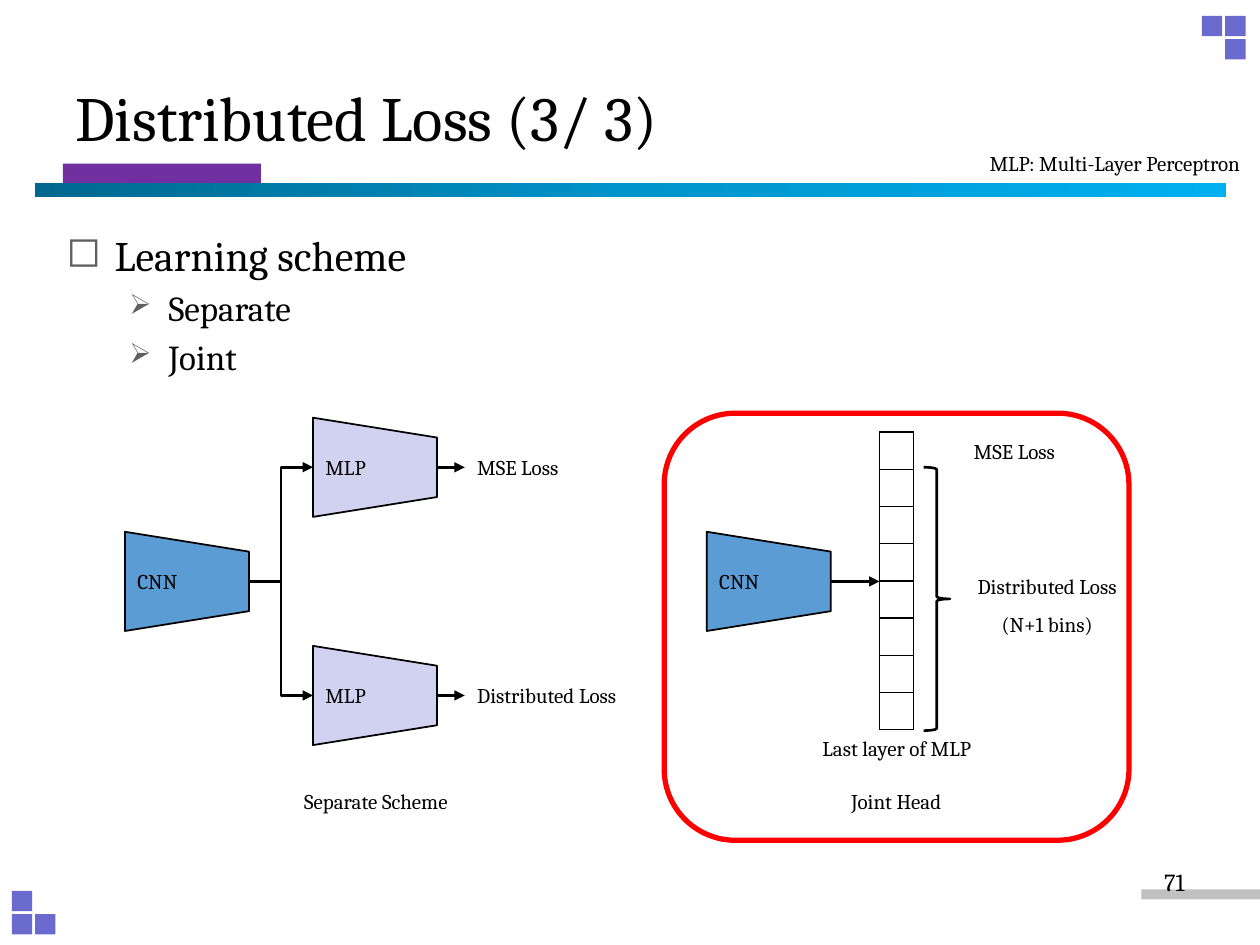
from copy import deepcopy

from lxml.etree import SubElement
from pptx import Presentation
from pptx.dml.color import RGBColor
from pptx.enum.shapes import MSO_CONNECTOR, MSO_SHAPE
from pptx.enum.text import MSO_ANCHOR, PP_ALIGN
from pptx.oxml.ns import qn
from pptx.util import Cm, Pt

color = RGBColor.from_string

presentation = Presentation()
presentation.slide_width = Cm(25.4)
presentation.slide_height = Cm(19.05)
slide = presentation.slides.add_slide(presentation.slide_layouts[5])
shapes = slide.shapes


def add_shape(kind, left, top, width, height, fill=None, line=None, weight=1):
    shape = shapes.add_shape(kind, Cm(left), Cm(top), Cm(width), Cm(height))
    shape.shadow.inherit = False
    if fill:
        shape.fill.solid()
        shape.fill.fore_color.rgb = color(fill)
    else:
        shape.fill.background()
    if line:
        shape.line.color.rgb = color(line)
        shape.line.width = Pt(weight)
    else:
        shape.line.fill.background()
    return shape


def write(shape, text, size, alignment):
    shape.text_frame.word_wrap = True
    shape.text_frame.text = text
    for paragraph in shape.text_frame.paragraphs:
        paragraph.alignment = alignment
        for run in paragraph.runs:
            run.font.name = "Cambria"
            run.font.size = Pt(size)
            run.font.color.rgb = color("000000")


square, pitch = 0.41, 0.47
corners = [
    (24.23, 0.32, [(0, 0), (1, 0), (1, 1)]),
    (0.24, 17.96, [(0, 0), (0, 1), (1, 1)]),
]
for left, top, places in corners:
    for column, row in places:
        add_shape(MSO_SHAPE.RECTANGLE, left + column * pitch, top + row * pitch,
                  square, square, "6B6BCF")
add_shape(MSO_SHAPE.RECTANGLE, 23.01, 17.93, 2.39, 0.2, "C0C0C0")
add_shape(MSO_SHAPE.RECTANGLE, 1.27, 3.3, 3.99, 0.41, "7030A0")

title_bar = add_shape(MSO_SHAPE.RECTANGLE, 0.71, 3.68, 24, 0.3)
title_bar.fill.gradient()
title_bar.fill.gradient_angle = 0
stop_list = title_bar.element.xpath(".//a:gsLst")[0]
stop_list.insert(1, deepcopy(stop_list[0]))
stops = [(0, "00688E"), (0.5, "0094CA"), (1, "00B0F0")]
for stop, (position, shade) in zip(title_bar.fill.gradient_stops, stops):
    stop.position = position
    stop.color.rgb = color(shade)

title = shapes.title
title.left, title.top, title.width, title.height = Cm(1.27), Cm(0.76), Cm(22.86), Cm(3.18)
write(title, "Distributed Loss (3/ 3)", 36, PP_ALIGN.LEFT)
title.text_frame.vertical_anchor = MSO_ANCHOR.MIDDLE

body = shapes.add_textbox(Cm(1.09), Cm(4.5), Cm(22.86), Cm(3.4))
write(body, "Learning scheme\nSeparate\nJoint", 20, PP_ALIGN.JUSTIFY)
body.text_frame.paragraphs[0].runs[0].font.size = Pt(24)
bullets = [(0, 0.97, 0.97, "◻", 100), (1, 2.06, 0.79, "➢", 80), (1, 2.06, 0.79, "➢", 80)]
for paragraph, (level, margin, hanging, bullet, percent) in zip(body.text_frame.paragraphs, bullets):
    paragraph.level = level
    if level:
        paragraph.space_before = Pt(4)
    properties = paragraph._p.get_or_add_pPr()
    properties.set("marL", str(Cm(margin)))
    properties.set("indent", str(-Cm(hanging)))
    bullet_color = SubElement(properties, qn("a:buClr"))
    SubElement(bullet_color, qn("a:srgbClr"), val="5F5F5F")
    SubElement(properties, qn("a:buSzPct"), val=str(percent * 1000))
    SubElement(properties, qn("a:buChar"), char=bullet)

block_width, block_height = 2.5, 2
cnn_x, joint_cnn_x, mlp_x = 3.77, 15.5, 7.56
upper_y, middle_y, lower_y = 9.42, 11.72, 14.02
blocks = [
    ("MLP", mlp_x, upper_y, "D1D1F0"),
    ("MLP", mlp_x, lower_y, "D1D1F0"),
    ("CNN", cnn_x, middle_y, "5B9CD5"),
    ("CNN", joint_cnn_x, middle_y, "5B9CD5"),
]
for text, center_x, center_y, fill in blocks:
    block = add_shape(MSO_SHAPE.FLOWCHART_MANUAL_OPERATION,
                      center_x - block_height / 2, center_y - block_width / 2,
                      block_height, block_width, fill, "000000")
    block.rotation = 270
    write(block, text, 12, PP_ALIGN.CENTER)
    block.text_frame.vertical_anchor = MSO_ANCHOR.MIDDLE
    block.text_frame._txBody.bodyPr.set("vert", "eaVert")

table_left, table_top, cell_width, cell_height, bins = 17.73, 8.71, 0.69, 0.75, 8
table = shapes.add_table(bins, 1, Cm(table_left), Cm(table_top),
                         Cm(cell_width), Cm(bins * cell_height)).table
table.first_row = False
table.horz_banding = False
for row in table.rows:
    row.height = Cm(cell_height)
    cell = row.cells[0]
    cell.margin_top = cell.margin_bottom = 0
    cell.text_frame.paragraphs[0]._p.get_or_add_endParaRPr().set("sz", "1200")
    for side in ("a:lnL", "a:lnR", "a:lnT", "a:lnB"):
        border = SubElement(cell._tc.get_or_add_tcPr(), qn(side), w=str(Pt(1)))
        border_fill = SubElement(border, qn("a:solidFill"))
        SubElement(border_fill, qn("a:srgbClr"), val="000000")
    cell.fill.background()

half = block_width / 2
arrows = [
    (MSO_CONNECTOR.ELBOW, cnn_x + half, middle_y, mlp_x - half, upper_y),
    (MSO_CONNECTOR.ELBOW, cnn_x + half, middle_y, mlp_x - half, lower_y),
    (MSO_CONNECTOR.STRAIGHT, mlp_x + half, upper_y, 9.37, upper_y),
    (MSO_CONNECTOR.STRAIGHT, mlp_x + half, lower_y, 9.37, lower_y),
    (MSO_CONNECTOR.STRAIGHT, joint_cnn_x + half, middle_y, table_left, middle_y),
]
for kind, start_x, start_y, end_x, end_y in arrows:
    arrow = shapes.add_connector(kind, Cm(start_x), Cm(start_y), Cm(end_x), Cm(end_y))
    arrow.line.color.rgb = color("000000")
    arrow.line.width = Pt(1.5)
    SubElement(arrow.line._get_or_add_ln(), qn("a:tailEnd"), type="triangle")
    SubElement(arrow.element.spPr, qn("a:effectLst"))

add_shape(MSO_SHAPE.RIGHT_BRACE, 18.62, 9.42, 0.53, 5.31, None, "000000", 1.5)

labels = [
    ("MSE Loss", 9.37, 9.04, 3.86, 12, PP_ALIGN.LEFT),
    ("Distributed Loss", 9.37, 13.64, 3.86, 12, PP_ALIGN.LEFT),
    ("Last layer of MLP", 16.15, 14.71, 3.86, 12, PP_ALIGN.CENTER),
    ("MSE Loss", 19.38, 8.71, 3.86, 12, PP_ALIGN.LEFT),
    ("Distributed Loss\n(N+1 bins)", 19.18, 11.18, 3.86, 12, PP_ALIGN.CENTER),
    ("Separate Scheme", 5.18, 15.77, 4.8, 12, PP_ALIGN.CENTER),
    ("Joint Head", 15.67, 15.77, 4.8, 12, PP_ALIGN.CENTER),
    ("MLP: Multi-Layer Perceptron", 14.25, 2.92, 11, 12, PP_ALIGN.RIGHT),
    ("71", 18.21, 17.35, 5.92, 14, PP_ALIGN.RIGHT),
]
for text, left, top, width, size, alignment in labels:
    lines = text.count("\n") + 1
    label = shapes.add_textbox(Cm(left), Cm(top), Cm(width), Cm(0.77 if lines == 1 else 1.7))
    write(label, text, size, alignment)
    if lines > 1:
        for paragraph in label.text_frame.paragraphs:
            paragraph.line_spacing = 1.5

add_shape(MSO_SHAPE.ROUNDED_RECTANGLE, 13.39, 8.33, 9.37, 8.61, None, "FF0000", 3)

presentation.save("out.pptx")
